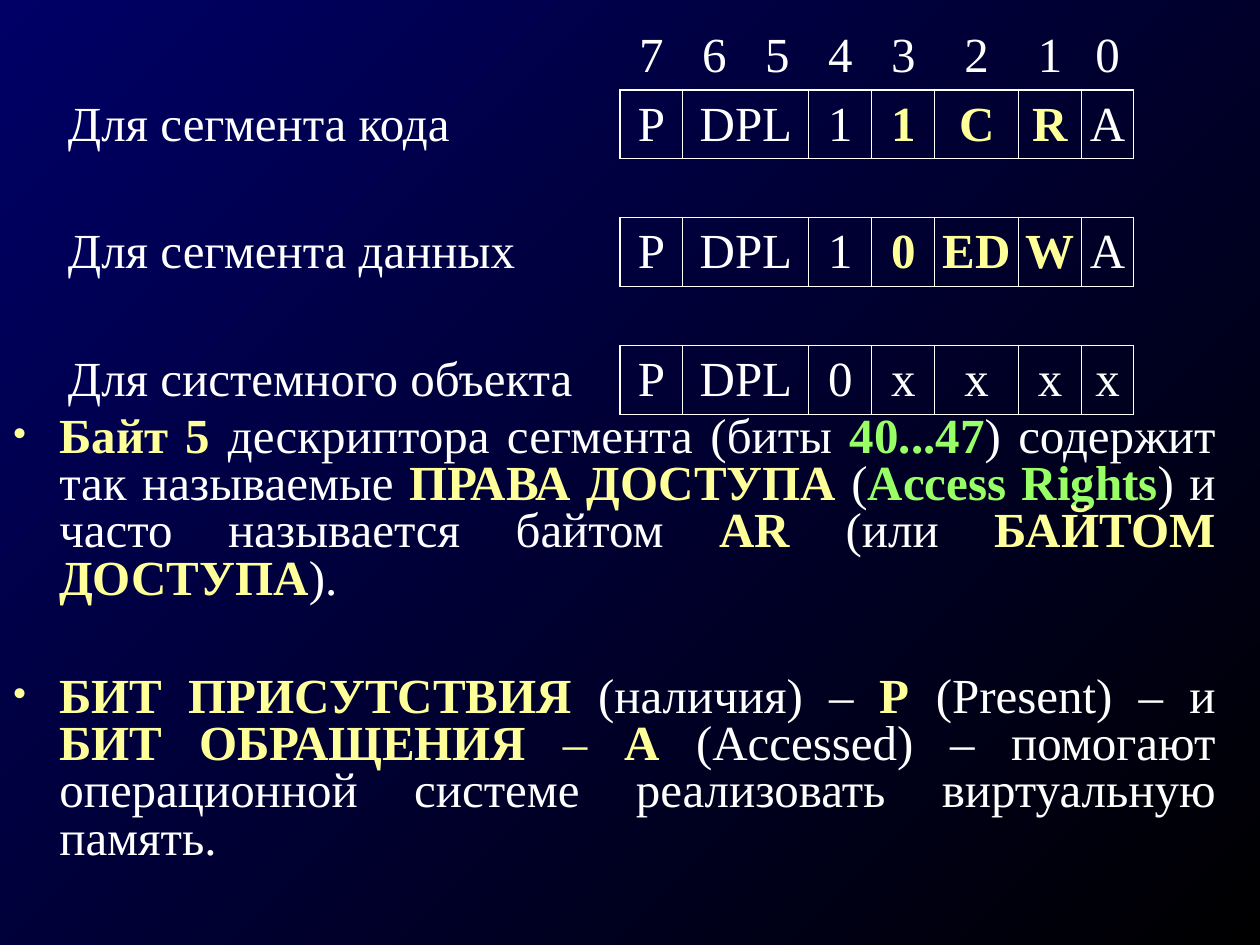
from lxml import etree
from pptx import Presentation
from pptx.dml.color import RGBColor
from pptx.enum.text import MSO_ANCHOR, PP_ALIGN
from pptx.oxml.ns import qn
from pptx.util import Emu, Pt

CENTER, LEFT, JUSTIFY = PP_ALIGN.CENTER, PP_ALIGN.LEFT, PP_ALIGN.JUSTIFY
MIDDLE = MSO_ANCHOR.MIDDLE
PX = 914400 // 126
FONT, SIZE = "Times New Roman", 28
COLORS = {"text": "FFFFFF", "key": "FFFF99", "term": "99FF66",
          "start": "000066", "end": "000000"}

BITS = ["", "7", "6", "5", "4", "3", "2", "1", "0"]
BYTES = [
    ["Для сегмента кода", "P", "DPL", "", "1", "1", "C", "R", "A"],
    ["Для сегмента данных", "P", "DPL", "", "1", "0", "ED", "W", "A"],
    ["Для системного объекта", "P", "DPL", "", "0", "x", "x", "x", "x"],
]
GAP = [""] * len(BITS)
ROWS = [BITS, BYTES[0], GAP, BYTES[1], GAP, BYTES[2]]
WIDTHS = [557, 63, 63, 63, 63, 63, 84, 63, 52]
KEYS = {(row, col) for row in (1, 3) for col in (5, 6, 7)}

PLAIN, KEY, DASH, TERM = ("text", False), ("key", True), ("key", False), ("term", True)
NOTES = [
    (7, [("Байт 5", KEY), (" дескриптора сегмента (биты ", PLAIN), ("40...47", TERM),
         (") содержит так называемые ", PLAIN), ("ПРАВА ДОСТУПА", KEY), (" (", PLAIN),
         ("Access Rights", TERM), (") и часто называется байтом ", PLAIN), ("AR", KEY),
         (" (или ", PLAIN), ("БАЙТОМ ДОСТУПА", KEY), (").", PLAIN)]),
    (41, [("БИТ ПРИСУТСТВИЯ", KEY), (" (наличия) – ", PLAIN), ("Р ", KEY),
          ("(Present) – и ", PLAIN), ("БИТ ОБРАЩЕНИЯ", KEY), (" – ", DASH), ("А", KEY),
          (" (Accessed) – помогают операционной системе реализовать виртуальную память.",
           PLAIN)]),
]


def px(count):
    return Emu(count * PX)


def rgb(name):
    return RGBColor.from_string(COLORS[name])


def add(parent, tag, **attrs):
    return etree.SubElement(parent, qn(tag), **attrs)


def style(font):
    font.name, font.size = FONT, Pt(SIZE)


def boxed(row, col):
    return row in (1, 3, 5) and 0 < col < len(WIDTHS)


def border(cell, row, col):
    props = cell._tc.get_or_add_tcPr()
    sides = {"a:lnL": (0, -1), "a:lnR": (0, 1), "a:lnT": (-1, 0), "a:lnB": (1, 0)}
    for tag, (down, right) in sides.items():
        line = add(props, tag, w=str(Pt(0.75)))
        if boxed(row, col) or boxed(row + down, col + right):
            add(add(line, "a:solidFill"), "a:srgbClr", val=COLORS["text"])
        else:
            add(line, "a:noFill")


def add_bytes(slide):
    heights = [59 if row is GAP else 69 for row in ROWS]
    table = slide.shapes.add_table(len(ROWS), len(WIDTHS), px(63), px(21),
                                   px(sum(WIDTHS)), px(sum(heights))).table
    table.first_row = table.horz_banding = False
    for col, width in zip(table.columns, WIDTHS):
        col.width = px(width)
    for r, (row, height) in enumerate(zip(ROWS, heights)):
        table.rows[r].height = px(height)
        for c, text in enumerate(row):
            cell = table.cell(r, c)
            border(cell, r, c)
            cell.fill.background()
            cell.margin_left = cell.margin_right = px(5)
            cell.margin_top = cell.margin_bottom = px(4)
            cell.vertical_anchor = MIDDLE
            if not text:
                continue
            cell.text = text
            para = cell.text_frame.paragraphs[0]
            para.alignment = CENTER if c else LEFT
            para.space_before = Pt(7)
            style(para.font)
            para.font.bold = (r, c) in KEYS
            para.font.color.rgb = rgb("key" if (r, c) in KEYS else "text")
        if boxed(r, 2):
            table.cell(r, 2).merge(table.cell(r, 3))


def add_notes(slide):
    frame = slide.shapes.add_textbox(0, px(410), px(1228), px(494)).text_frame
    frame.word_wrap = True
    for i, (space, runs) in enumerate(NOTES):
        para = frame.add_paragraph() if i else frame.paragraphs[0]
        para.alignment = JUSTIFY
        para.line_spacing = 0.8
        para.space_before = Pt(space)
        props = para._p.get_or_add_pPr()
        props.set("marL", str(px(47)))
        props.set("indent", str(-px(47)))
        add(add(props, "a:buClr"), "a:srgbClr", val=COLORS["key"])
        add(props, "a:buSzPct", val="85000")
        add(props, "a:buFont", typeface=FONT)
        add(props, "a:buChar", char="•")
        style(para.font)
        for text, (color, bold) in runs:
            run = para.add_run()
            run.text = text
            run.font.bold = bold
            run.font.color.rgb = rgb(color)


def main():
    deck = Presentation()
    deck.slide_width, deck.slide_height = px(1260), px(945)
    slide = deck.slides.add_slide(deck.slide_layouts[6])
    fill = slide.background.fill
    fill.gradient()
    fill.gradient_angle = 315
    for stop, name in zip(fill.gradient_stops, ("start", "end")):
        stop.color.rgb = rgb(name)
    add_notes(slide)
    add_bytes(slide)
    deck.save("out.pptx")


if __name__ == "__main__":
    main()
